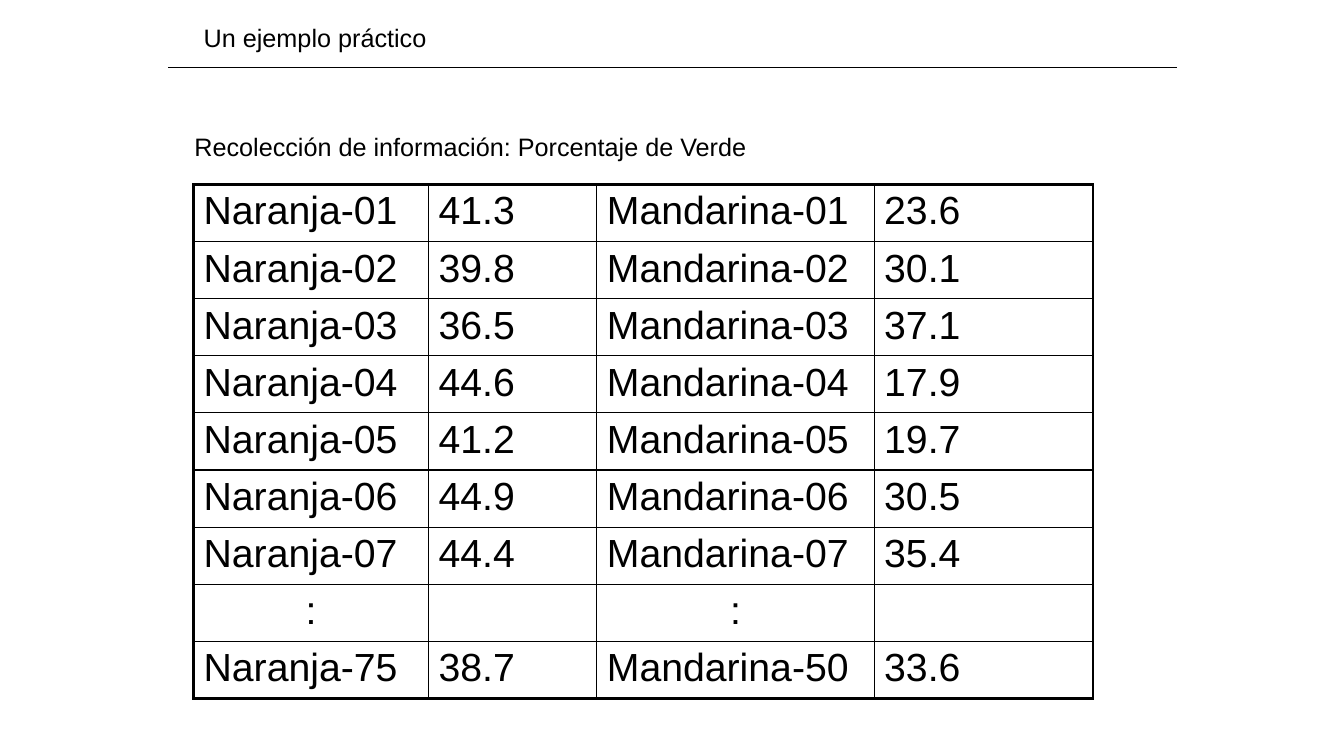
from dataclasses import dataclass

from lxml.etree import SubElement
from pptx import Presentation
from pptx.dml.color import RGBColor
from pptx.enum.shapes import MSO_CONNECTOR
from pptx.enum.text import MSO_ANCHOR, MSO_AUTO_SIZE, PP_ALIGN
from pptx.oxml.ns import qn
from pptx.util import Inches, Pt

COLOURS = {"ink": "000000"}
HEADING_FONT = {"name": "Arial", "size": Pt(18), "bold": False}
CELL_FONT = {"name": "Arial", "size": Pt(28), "bold": False}
FRAME_FORMAT = {
    "auto_size": MSO_AUTO_SIZE.NONE,
    "vertical_anchor": MSO_ANCHOR.TOP,
    "word_wrap": False,
}
TABLE_FLAGS = {"first_row": False, "horz_banding": False}

COLUMN_WIDTHS = (2.33, 1.67, 2.75, 2.17)
TABLE_HEIGHT = 5.1
THICK, THIN = 2.25, 1


@dataclass
class Heading:
    text: str
    left: float
    top: float
    width: float
    height: float


@dataclass
class Sample:
    orange: str
    orange_green: str
    mandarin: str
    mandarin_green: str

    def texts(self) -> tuple:
        return self.orange, self.orange_green, self.mandarin, self.mandarin_green


TITLE = Heading("Un ejemplo práctico", 1.92, 0.17, 2.41, 0.4)
CAPTION = Heading("Recolección de información: Porcentaje de Verde", 1.83, 1.25, 5.73, 0.4)

GREEN_SHARES = [
    ("41.3", "23.6"), ("39.8", "30.1"), ("36.5", "37.1"), ("44.6", "17.9"),
    ("41.2", "19.7"), ("44.9", "30.5"), ("44.4", "35.4"),
]
SAMPLES = [
    Sample(f"Naranja-{number:02}", orange, f"Mandarina-{number:02}", mandarin)
    for number, (orange, mandarin) in enumerate(GREEN_SHARES, start=1)
] + [
    Sample(":", "", ":", ""),
    Sample("Naranja-75", "38.7", "Mandarina-50", "33.6"),
]


def set_values(target, values: dict) -> None:
    for name, value in values.items():
        setattr(target, name, value)


def write(para, text: str, font: dict, align=PP_ALIGN.LEFT) -> None:
    para.alignment = align
    span = para.add_run()
    span.text = text
    set_values(span.font, font)
    span.font.color.rgb = RGBColor.from_string(COLOURS["ink"])


def fill_heading(box, heading: Heading) -> None:
    set_values(box, {
        name: Inches(getattr(heading, name))
        for name in ("left", "top", "width", "height")
    })
    set_values(box.text_frame, FRAME_FORMAT)
    write(box.text_frame.paragraphs[0], heading.text, HEADING_FONT)


def set_borders(cell, widths: dict) -> None:
    properties = cell._tc.get_or_add_tcPr()
    for position, (side, width) in enumerate(widths.items()):
        line = SubElement(properties, qn(f"a:ln{side}"), w=str(Pt(width)))
        fill = SubElement(line, qn("a:solidFill"))
        SubElement(fill, qn("a:srgbClr"), val=COLOURS["ink"])
        properties.insert(position, line)


def add_samples(page, samples: list) -> None:
    last_row, last_column = len(samples) - 1, len(COLUMN_WIDTHS) - 1
    table = page.shapes.add_table(
        len(samples), len(COLUMN_WIDTHS), Inches(1.92), Inches(1.83),
        Inches(sum(COLUMN_WIDTHS)), Inches(TABLE_HEIGHT),
    ).table
    set_values(table, TABLE_FLAGS)
    for column, width in zip(table.columns, COLUMN_WIDTHS):
        column.width = Inches(width)

    for row, sample in enumerate(samples):
        for column, text in enumerate(sample.texts()):
            cell = table.cell(row, column)
            cell.fill.background()
            set_borders(cell, {
                "L": THICK if column == 0 else THIN,
                "R": THICK if column == last_column else THIN,
                "T": THICK if row == 0 else THIN,
                "B": THICK if row == last_row else THIN,
            })
            if text:
                align = PP_ALIGN.CENTER if text == ":" else PP_ALIGN.LEFT
                para = cell.text_frame.paragraphs[0]
                write(para, text, CELL_FONT, align)
                # Space before as a share of the line
                before = SubElement(para._p.get_or_add_pPr(), qn("a:spcBef"))
                SubElement(before, qn("a:spcPct"), val="20000")


def add_rule(page) -> None:
    rule = page.shapes.add_connector(
        MSO_CONNECTOR.STRAIGHT, Inches(1.67), Inches(0.67), Inches(11.67), Inches(0.67)
    )
    rule.line.width = Pt(0.75)
    rule.line.color.rgb = RGBColor.from_string(COLOURS["ink"])
    SubElement(rule._element.spPr, qn("a:effectLst"))


def main() -> None:
    deck = Presentation()
    deck.slide_width, deck.slide_height = Inches(13.33), Inches(7.5)
    page = deck.slides.add_slide(deck.slide_layouts[5])

    # Headings
    fill_heading(page.shapes.title, TITLE)
    fill_heading(page.shapes.add_textbox(0, 0, 0, 0), CAPTION)

    # Rule under the title
    add_rule(page)

    # Green share of each fruit
    add_samples(page, SAMPLES)

    deck.save("out.pptx")


if __name__ == "__main__":
    main()
